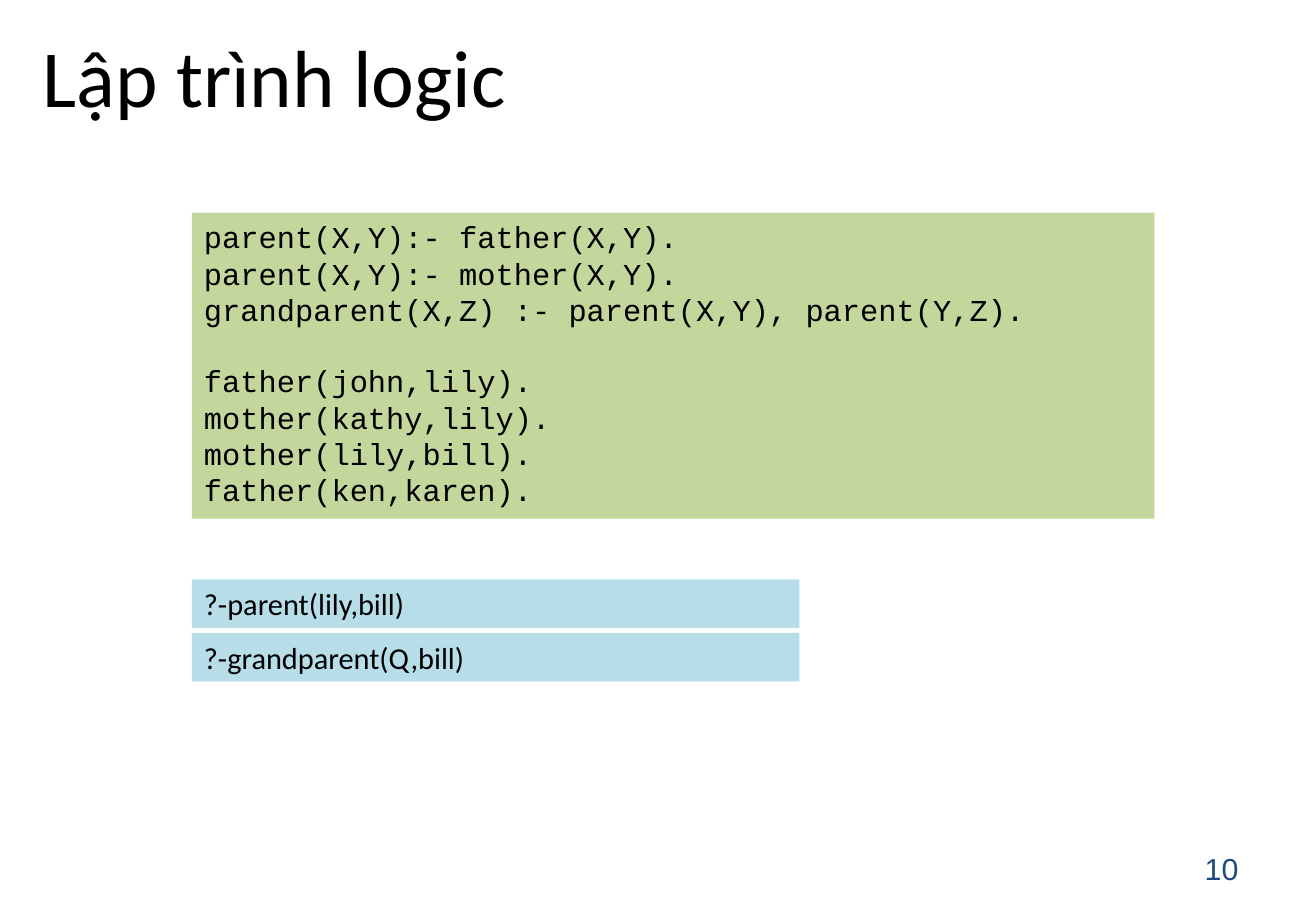
from pptx import Presentation
from pptx.dml.color import RGBColor
from pptx.enum.shapes import MSO_SHAPE
from pptx.enum.text import MSO_ANCHOR, PP_ALIGN
from pptx.util import Inches, Pt

RECTANGLE = MSO_SHAPE.RECTANGLE
TOP, MIDDLE = MSO_ANCHOR.TOP, MSO_ANCHOR.MIDDLE
LEFT, RIGHT = PP_ALIGN.LEFT, PP_ALIGN.RIGHT

BLACK = RGBColor(0x00, 0x00, 0x00)
NAVY = RGBColor(0x1F, 0x49, 0x7D)
GREEN = RGBColor(0xC3, 0xD6, 0x9B)
LIGHT_BLUE = RGBColor(0xB7, 0xDE, 0xE8)

TITLE_ONLY_LAYOUT = 5
CODE_LEFT = 1.58
CODE_LINE_HEIGHT = Pt(20.4)

RULES = [
    "parent(X,Y):- father(X,Y).",
    "parent(X,Y):- mother(X,Y).",
    "grandparent(X,Z) :- parent(X,Y), parent(Y,Z).",
]
FACTS = [
    "father(john,lily).",
    "mother(kathy,lily).",
    "mother(lily,bill).",
    "father(ken,karen).",
]
QUERIES = ["?-parent(lily,bill)", "?-grandparent(Q,bill)"]
QUERY_TOP, QUERY_STEP = 4.77, 0.44


def place(shape, left, top, width, height):
    shape.left, shape.top = Inches(left), Inches(top)
    shape.width, shape.height = Inches(width), Inches(height)


def write_lines(shape, lines, font_name, size, color=BLACK, align=LEFT, anchor=TOP):
    """Fill the shape with one paragraph per line and return the paragraphs."""
    frame = shape.text_frame
    frame.word_wrap = True
    frame.vertical_anchor = anchor
    frame.text = "\n".join(lines)
    for para in frame.paragraphs:
        para.alignment = align
        para.font.name = font_name
        para.font.size = Pt(size)
        para.font.color.rgb = color
    return frame.paragraphs


def add_title(slide, text):
    title = slide.shapes.title
    place(title, 0.25, -0.01, 9.75, 1.25)
    write_lines(title, [text], "Calibri", 48, anchor=MIDDLE)


def add_page_number(slide, number):
    box = slide.shapes.add_textbox(
        Inches(7.76), Inches(6.95), Inches(2.53), Inches(0.4))
    write_lines(box, [number], "Arial", 18, NAVY, RIGHT, MIDDLE)


def add_code_box(slide, top, width, height, fill, lines, font_name):
    box = slide.shapes.add_shape(
        RECTANGLE, Inches(CODE_LEFT), Inches(top), Inches(width), Inches(height))
    box.shadow.inherit = False
    box.fill.solid()
    box.fill.fore_color.rgb = fill
    box.line.fill.background()
    return write_lines(box, lines, font_name, 18)


def main():
    deck = Presentation()
    deck.slide_width, deck.slide_height = Inches(10.83), Inches(7.5)
    slide = deck.slides.add_slide(deck.slide_layouts[TITLE_ONLY_LAYOUT])

    add_title(slide, "Lập trình logic")
    add_page_number(slide, "10")

    program = add_code_box(
        slide, 1.75, 7.92, 2.52, GREEN, RULES + FACTS, "Courier New")
    program[len(RULES)].space_before = CODE_LINE_HEIGHT

    for index, query in enumerate(QUERIES):
        add_code_box(slide, QUERY_TOP + index * QUERY_STEP, 5, 0.4,
                     LIGHT_BLUE, [query], "Calibri")

    deck.save("out.pptx")


if __name__ == "__main__":
    main()
